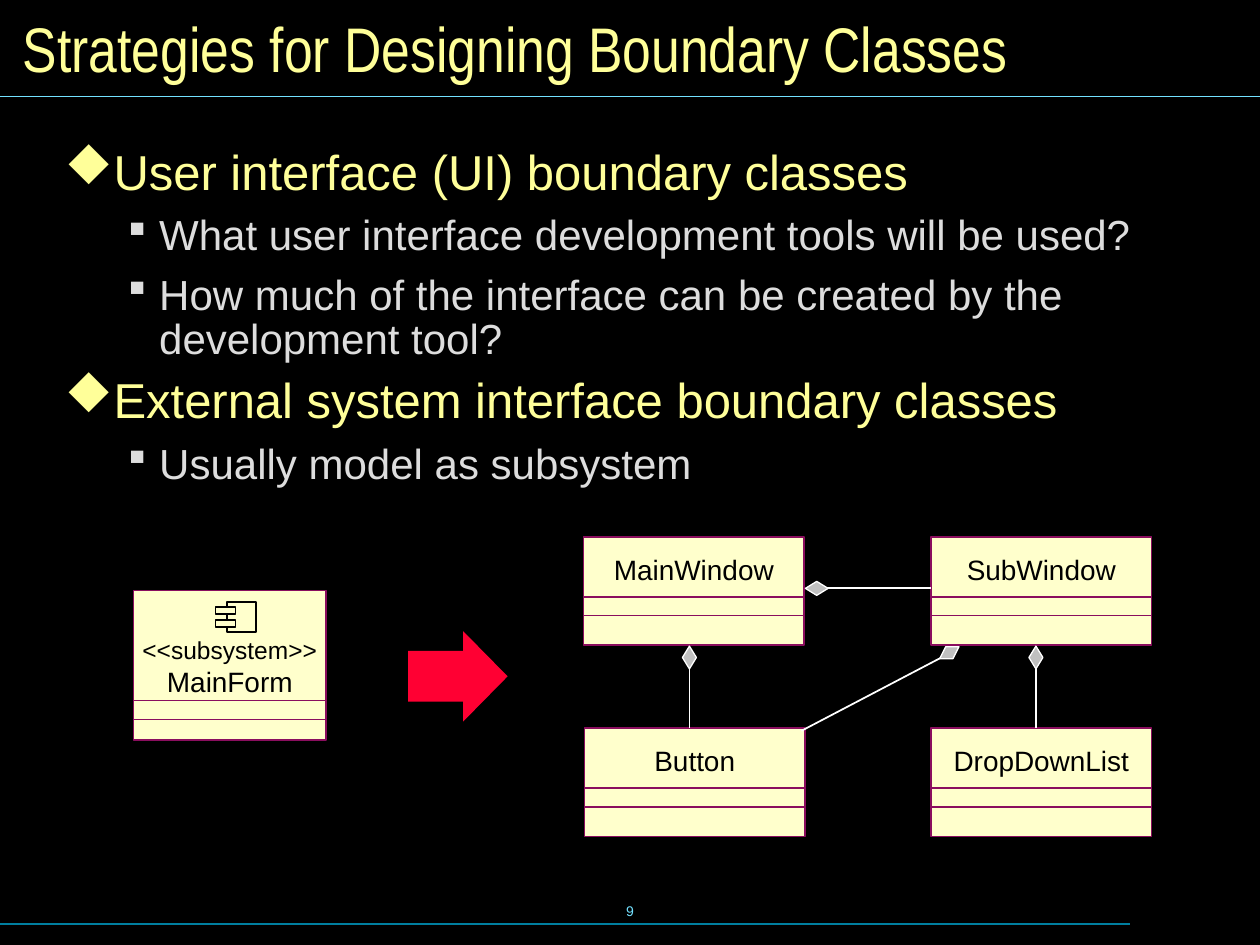
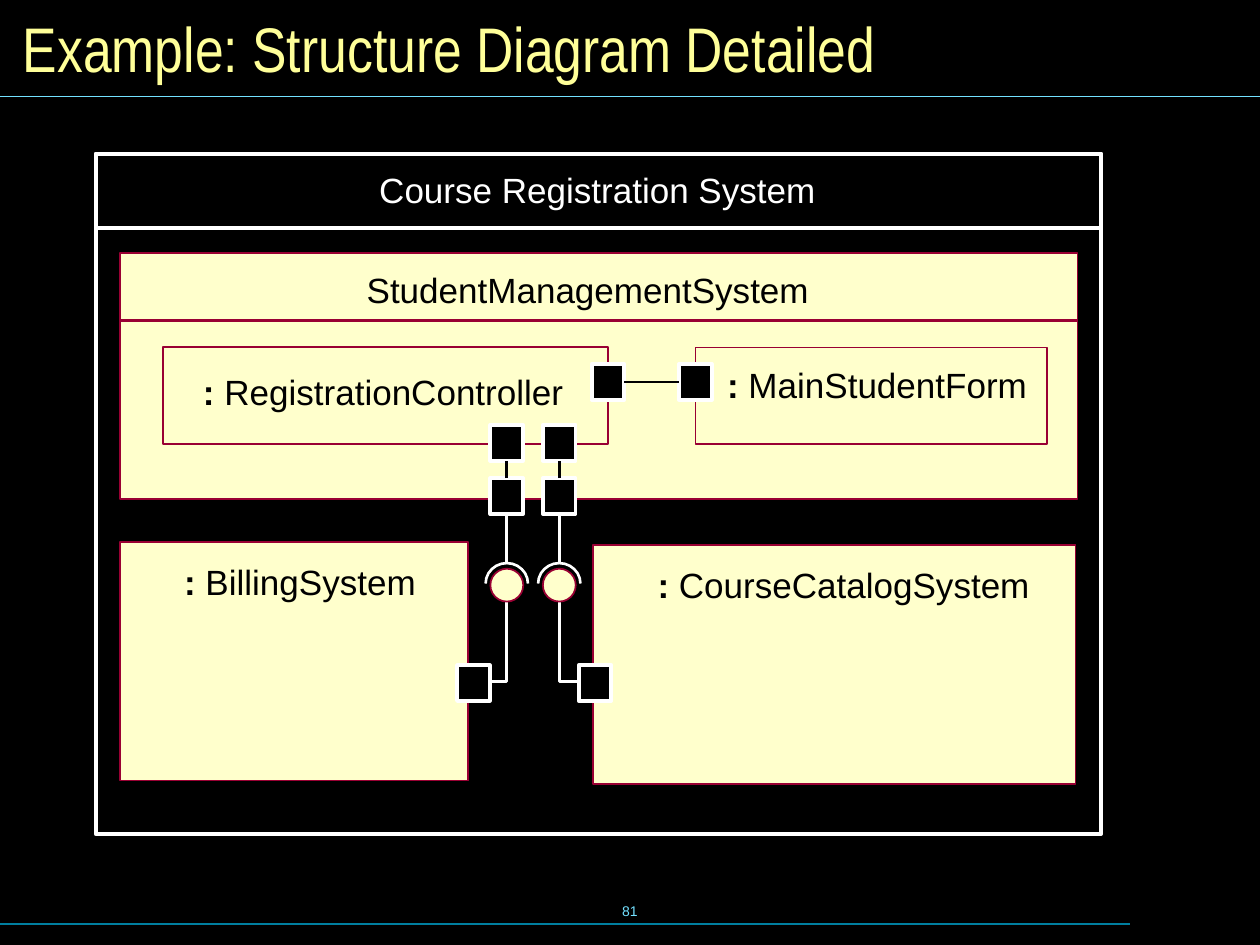
from lxml import etree
from pptx import Presentation
from pptx.dml.color import RGBColor
from pptx.enum.shapes import MSO_CONNECTOR, MSO_SHAPE
from pptx.enum.text import MSO_ANCHOR, PP_ALIGN
from pptx.oxml.ns import qn
from pptx.util import Pt

RECT, OVAL, ARC = MSO_SHAPE.RECTANGLE, MSO_SHAPE.OVAL, MSO_SHAPE.ARC
DIAMOND, ARROW = MSO_SHAPE.DIAMOND, MSO_SHAPE.RIGHT_ARROW
STRAIGHT = MSO_CONNECTOR.STRAIGHT
LEFT, CENTER = PP_ALIGN.LEFT, PP_ALIGN.CENTER
TOP, MIDDLE = MSO_ANCHOR.TOP, MSO_ANCHOR.MIDDLE
N, W, S, E = range(4)  # connection sites

COLORS = {"black": "000000", "white": "FFFFFF", "title": "FFFF99",
          "body": "DDDDDD", "sky": "73E1FF", "teal": "007E9F",
          "cream": "FFFFCC", "plum": "8A0E5E", "wine": "990033",
          "red": "FF0033", "gray": "C0C0C0"}

# Content: bullets as (level, text)
BULLETS = [
    (0, "User interface (UI) boundary classes"),
    (1, "What user interface development tools will be used?"),
    (1, "How much of the interface can be created by the development tool?"),
    (0, "External system interface boundary classes"),
    (1, "Usually model as subsystem"),
]
# Per level: size, colour, line spacing, space before, margin, hang and
# bullet (in Wingdings, u is a diamond and § a small square)
LEVELS = [(28, "title", 0.8, 10.5, 27, 27, "u"),
          (24, "body", 0.87, 9, 54, 18, "§")]

# Classes: name, left, top
CLASSES = [("MainWindow", 333.5, 306.7), ("SubWindow", 532, 306.7),
           ("Button", 334, 416), ("DropDownList", 532, 416)]
# Aggregations: line start, line end, diamond centre, turn
JOINS = [((537.8, 375.8), (458, 417.6), (542.5, 373), 58.1),
         ((469.5, 336.2), (532, 336.2), (466.7, 336.2), 270),
         ((592, 381.6), (592, 416), (592, 375.7), 0),
         ((394, 381.6), (394, 416), (394, 375.7), 0)]

# Parts: text, box, fill, line, line width, text offset
PARTS = [
    ("", (54.7, 88, 574.5, 388.7), None, "white", 2.25, (0, 0)),
    ("Course Registration System", (54.7, 88, 574.5, 42.3), None, "white",
     2.25, (162, 8.5)),
    ("StudentManagementSystem", (68.7, 144.7, 547, 140.3), "cream", "wine",
     1, (140.8, 8.6)),
    (": CourseCatalogSystem", (338.8, 311.3, 275.8, 136.8), "cream", "wine",
     1, (37, 11)),
    (": RegistrationController", (93, 198.4, 254.4, 55.3), None, "wine",
     1, (23, 13.3)),
    (": MainStudentForm", (397.5, 198.6, 200.9, 55.1), None, "wine",
     1, (18, 9.3)),
    (": BillingSystem", (68.7, 309.7, 198.9, 136.4), "cream", "wine",
     1, (36.5, 10.7)),
]
PORT_W, PORT_H = 18.6, 20.5
# Ports: name -> centre
PORTS = {"bill": (270.5, 390.3), "course": (340, 390.3),
         "reg": (347.5, 218.2), "form": (397.4, 218.2),
         "in1": (289.6, 253), "in2": (319.6, 253),
         "out1": (289.6, 283.5), "out2": (319.6, 283.5)}


# Shared helpers
def rgb(name):
    return RGBColor.from_string(COLORS[name])


def pts(*vals):
    return [Pt(v) for v in vals]


def paint(shape, fill=None, line=None, width=1):
    shape.shadow.inherit = False
    if fill:
        shape.fill.solid()
        shape.fill.fore_color.rgb = rgb(fill)
    else:
        shape.fill.background()
    if line:
        shape.line.color.rgb = rgb(line)
        shape.line.width = Pt(width)
    else:
        shape.line.fill.background()
    return shape


def box(slide, at, fill=None, line=None, width=1, kind=RECT):
    return paint(slide.shapes.add_shape(kind, *pts(*at)), fill, line, width)


def link(slide, start, end, color, width=1):
    line = slide.shapes.add_connector(STRAIGHT, *pts(*start, *end))
    line.line.color.rgb = rgb(color)
    line.line.width = Pt(width)
    etree.SubElement(line._element.spPr, qn("a:effectLst"))
    return line


def trace(slide, dots, color, width):
    pen = slide.shapes.build_freeform(*pts(*dots[0]), scale=1.0)
    pen.add_line_segments([pts(*dot) for dot in dots[1:]], close=False)
    return paint(pen.convert_to_shape(), None, color, width)


def style(para, size, color, face="Arial", align=LEFT):
    para.alignment = align
    for run in para.runs:
        run.font.size = Pt(size)
        run.font.name = face
        run.font.color.rgb = rgb(color)


def frame(shape, pad, anchor=TOP):
    area = shape.text_frame
    area.word_wrap = True
    area.vertical_anchor = anchor
    area.margin_left, area.margin_top, area.margin_right, area.margin_bottom = pts(*pad)
    return area


def text(slide, at, words, size, color, face="Arial", align=LEFT):
    area = frame(slide.shapes.add_textbox(*pts(*at)), (7.2, 3.6, 7.2, 3.6), MIDDLE)
    area.text = words
    style(area.paragraphs[0], size, color, face, align)


def page(deck, title, num):
    slide = deck.slides.add_slide(deck.slide_layouts[6])
    slide.background.fill.solid()
    slide.background.fill.fore_color.rgb = rgb("black")
    text(slide, (246, 502.5, 228, 36), num, 8, "sky", align=CENTER)
    link(slide, (0, 528), (646, 528), "teal", 0.75)
    link(slide, (0, 55), (720, 55), "sky", 0.75)
    text(slide, (6, 6, 708, 42), title, 36, "title", "Arial Narrow")
    return slide


# Slide of boundary classes
def outline(slide):
    area = frame(slide.shapes.add_textbox(*pts(28.4, 83, 669, 256)),
                 (8.6, 4.3, 8.6, 4.3))
    area.text = "\n".join(words for _, words in BULLETS)
    for i, (para, (level, _)) in enumerate(zip(area.paragraphs, BULLETS)):
        size, color, gap, before, margin, hang, mark = LEVELS[level]
        props = para._p.get_or_add_pPr()
        props.set("marL", str(Pt(margin)))
        props.set("indent", str(-Pt(hang)))
        para.level = level
        para.line_spacing = gap
        if i:
            para.space_before = Pt(before)
        tint = etree.SubElement(props, qn("a:buClr"))
        etree.SubElement(tint, qn("a:srgbClr"), val=COLORS[color])
        etree.SubElement(props, qn("a:buFont"), typeface="Wingdings",
                         pitchFamily="2", charset="2")
        etree.SubElement(props, qn("a:buChar"), char=mark)
        style(para, size, color)


def card(slide, at, lines, pad, rules, width):
    """Class box with centred names and two rules measured from its top."""
    x, y, w, _ = at
    shape = box(slide, at, "cream", "plum", width)
    area = frame(shape, (0, pad, 0, 0))
    area.text = "\n".join(words for words, _ in lines)
    for para, (_, size) in zip(area.paragraphs, lines):
        style(para, size, "black", align=CENTER)
    for drop in rules:
        link(slide, (x, y + drop), (x + w, y + drop), "plum", width)


def icon(slide):
    for y in (347, 354.2):
        box(slide, (123.1, y, 11.5, 4), None, "black")
    trace(slide, [(129.6, 346.5), (129.6, 344), (146.2, 344), (146.2, 361),
                  (129.6, 361), (129.6, 358.5)], "black", 1)
    link(slide, (129.6, 351), (129.6, 354), "black")


def classes(deck):
    slide = page(deck, "Strategies for Designing Boundary Classes", "9")
    outline(slide)
    card(slide, (76.3, 337.5, 110, 85.5),
         [("<<subsystem>>", 14), ("MainForm", 16)], 25.5, (63, 73.5), 0.75)
    icon(slide)
    arrow = box(slide, (233.3, 360.6, 56.8, 51.8), "red", kind=ARROW)
    arrow.adjustments[0], arrow.adjustments[1] = 0.559, 0.492
    for name, x, y in CLASSES:
        card(slide, (x, y, 126, 62), [(name, 16)], 9, (34.3, 45), 1)
    for start, end, (x, y), turn in JOINS:
        link(slide, start, end, "white")
        gem = box(slide, (x - 4, y - 6.5, 8, 13), "gray", "white", 0.75, DIAMOND)
        gem.rotation = turn


# Slide of the structure diagram
def part(slide, words, at, fill, line, width, shift):
    area = frame(box(slide, at, fill, line, width), (*shift, 0, 0))
    if not words:
        return
    para = area.paragraphs[0]
    mark, colon, name = words.rpartition(":")
    if colon:
        para.add_run().text = mark + colon
        para.runs[0].font.bold = True
    para.add_run().text = name
    style(para, 20, "black" if line == "wine" else "white")


def structure(deck):
    slide = page(deck, "Example: Structure Diagram Detailed", "81")
    for item in PARTS:
        part(slide, *item)
    link(slide, (68.7, 183), (615.7, 183), "wine", 1.5)
    ports = {}
    for name, (x, y) in PORTS.items():
        at = (x - PORT_W / 2, y - PORT_H / 2, PORT_W, PORT_H)
        ports[name] = box(slide, at, "black", "white", 2.25)

    def join(first, out, last, into):
        line = link(slide, PORTS[first], PORTS[last], "black", 1.5)
        line.begin_connect(ports[first], out)
        line.end_connect(ports[last], into)

    join("reg", E, "form", W)
    # Each required interface: ports, socket, ball and elbow
    for num, goal, side in (("1", "bill", 1), ("2", "course", -1)):
        join("out" + num, N, "in" + num, S)
        x = PORTS["out" + num][0]
        stem = link(slide, PORTS["out" + num], (x, 321.8), "white", 1.5)
        stem.begin_connect(ports["out" + num], S)
        px, py = PORTS[goal]
        trace(slide, [(px + side * PORT_W / 2, py - 1), (x, py - 1),
                      (x, 343.7)], "white", 1.5)
        box(slide, (x - 9.4, 325, 18.8, 18.8), "cream", "wine", 1, OVAL)
        cup = box(slide, (x - 12.1, 321.8, 24.2, 23.4), None, "white", 1.5, ARC)
        cup.adjustments[0], cup.adjustments[1] = 108, 0


def main():
    deck = Presentation()
    deck.slide_width, deck.slide_height = pts(720, 540)
    classes(deck)
    structure(deck)
    deck.save("out.pptx")


if __name__ == "__main__":
    main()
